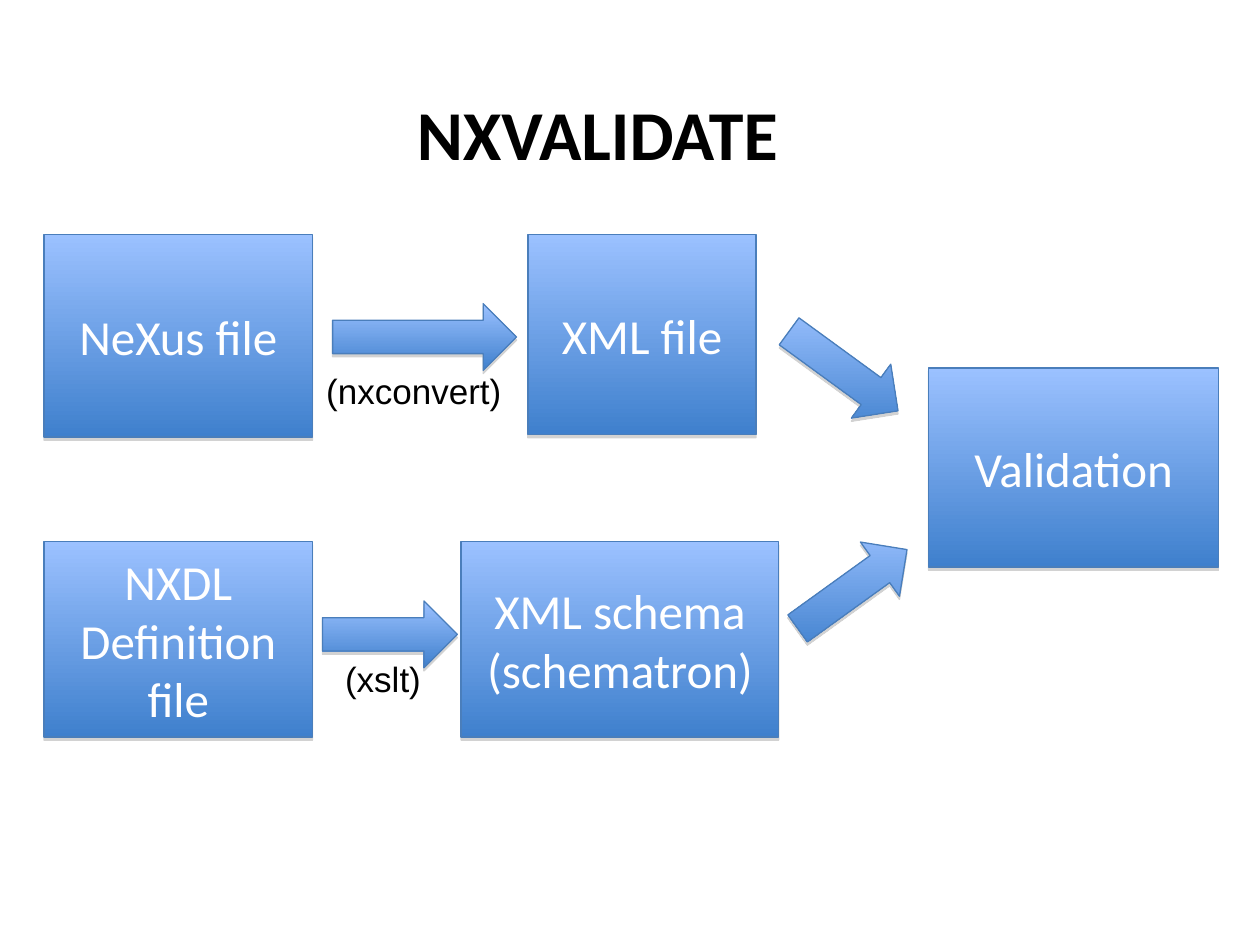
from lxml.etree import SubElement
from pptx import Presentation
from pptx.dml.color import RGBColor
from pptx.enum.shapes import MSO_SHAPE
from pptx.enum.text import MSO_ANCHOR, MSO_AUTO_SIZE, PP_ALIGN
from pptx.oxml.ns import qn
from pptx.util import Inches, Pt

LIGHT, DARK, EDGE = "9BC1FF", "3F80CD", "4A7EBB"
WHITE, BLACK, GREY = "FFFFFF", "000000", "808080"


def paint(color, value):
    color.rgb = RGBColor.from_string(value)


def style(font, name, size, value, bold=False):
    font.name, font.size, font.bold = name, Pt(size), bold
    paint(font.color, value)


def add_shadow(shape):
    shape.shadow.inherit = False
    effects = shape._element.spPr.find(qn("a:effectLst"))
    outer = SubElement(effects, qn("a:outerShdw"), blurRad="0",
                       dist=str(Pt(1.8)), dir="5400000", rotWithShape="0")
    color = SubElement(outer, qn("a:srgbClr"), val=GREY)
    SubElement(color, qn("a:alpha"), val="35000")


def add_block(slide, kind, box, angle=90):
    """Gradient shape; angle is clockwise, from light to dark."""
    shape = slide.shapes.add_shape(kind, *map(Inches, box))
    shape.fill.gradient()
    shape.fill.gradient_angle = 360 - angle
    for stop, place, value in zip(shape.fill.gradient_stops, (0, 1), (LIGHT, DARK)):
        stop.position = place
        paint(stop.color, value)
    paint(shape.line.color, EDGE)
    shape.line.width = Pt(0.75)
    add_shadow(shape)
    return shape


def add_step(slide, text, box):
    frame = add_block(slide, MSO_SHAPE.RECTANGLE, box).text_frame
    frame.text = text
    frame.word_wrap = True
    frame.vertical_anchor = MSO_ANCHOR.MIDDLE
    line = frame.paragraphs[0]
    line.alignment = PP_ALIGN.CENTER
    style(line.runs[0].font, "Calibri", 28, WHITE)


def add_arrow(slide, box, turn=0):
    # Counter the turn so the gradient keeps its direction on the slide
    arrow = add_block(slide, MSO_SHAPE.RIGHT_ARROW, box, 90 - turn)
    arrow.rotation = turn % 360


def add_label(slide, text, box, name, size, bold=False, wrap=False):
    frame = slide.shapes.add_textbox(*map(Inches, box)).text_frame
    frame.text = text
    frame.word_wrap = wrap
    frame.auto_size = MSO_AUTO_SIZE.SHAPE_TO_FIT_TEXT
    style(frame.paragraphs[0].runs[0].font, name, size, BLACK, bold)


def add_flow(slide):
    # Files and the validation they lead to
    for text, box in (
        ("XML file", (4.19, 1.86, 1.81, 1.59)),
        ("NXDL Definition file", (0.35, 4.3, 2.13, 1.55)),
        ("NeXus file", (0.35, 1.86, 2.13, 1.61)),
        ("XML schema (schematron)", (3.66, 4.3, 2.52, 1.55)),
        ("Validation", (7.37, 2.92, 2.3, 1.58)),
    ):
        add_step(slide, text, box)

    # Arrows between the steps
    for left, top, width, turn in (
        (2.64, 2.41, 1.46, 0),
        (2.56, 4.77, 1.07, 0),
        (6.16, 2.68, 1.07, 36.1),
        (6.23, 4.41, 1.07, -35.8),
    ):
        add_arrow(slide, (left, top, width, 0.53), turn)

    # Names of the conversions
    add_label(slide, "(nxconvert)", (2.49, 2.88, 1.59, 0.44), "Arial", 20)
    add_label(slide, "(xslt)", (2.64, 5.17, 0.8, 0.44), "Arial", 20)


def main():
    deck = Presentation()
    deck.slide_width, deck.slide_height = Inches(10), Inches(7.5)
    slide = deck.slides.add_slide(deck.slide_layouts[6])
    add_label(slide, "NXVALIDATE", (3.21, 0.67, 4.16, 0.77), "Calibri", 40,
              bold=True, wrap=True)
    add_flow(slide)
    deck.save("out.pptx")


if __name__ == "__main__":
    main()
